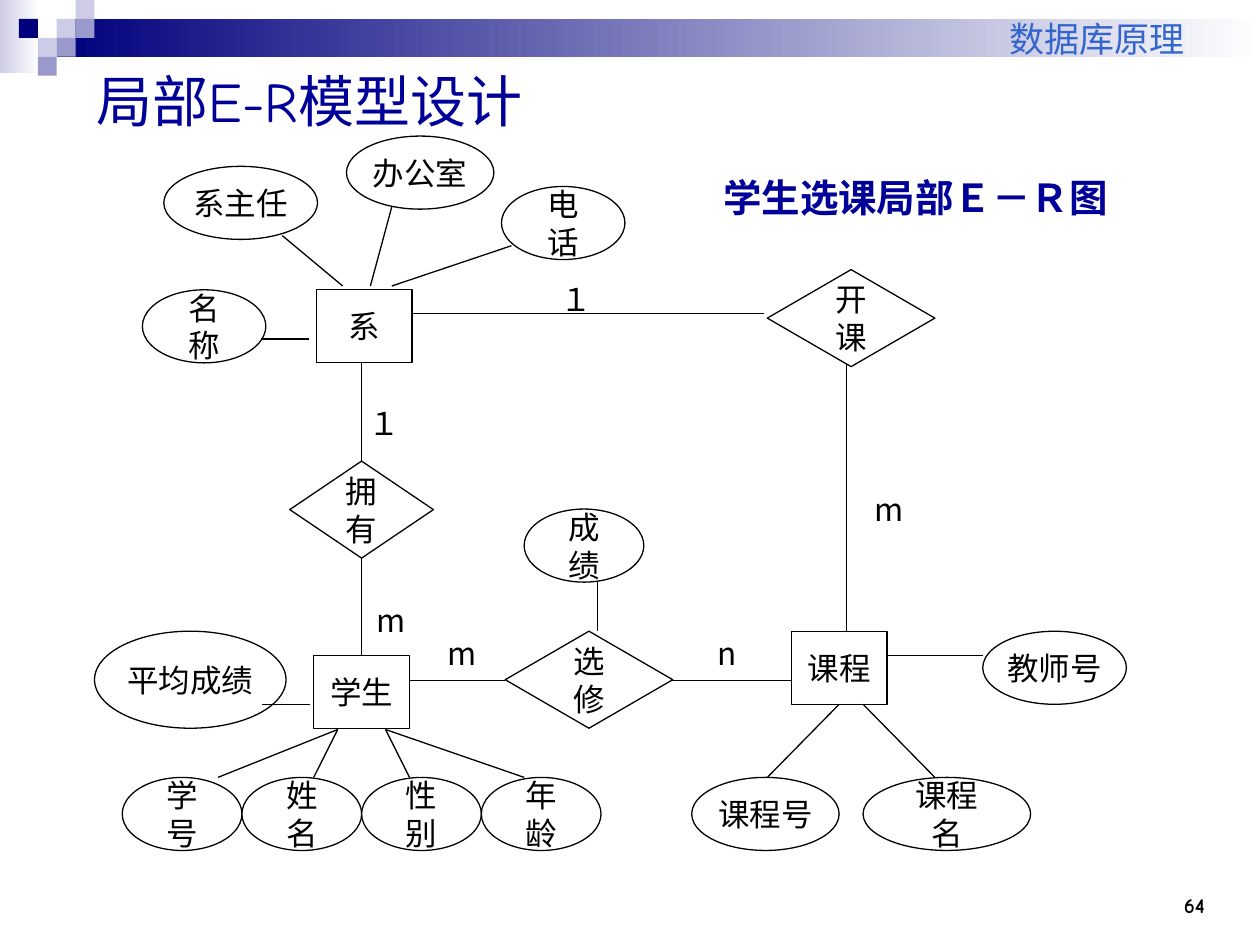
from lxml import etree
from pptx import Presentation
from pptx.dml.color import RGBColor
from pptx.enum import shapes, text
from pptx.oxml.ns import qn
from pptx.util import Inches, Pt

LATIN, CJK = "Comic Neue", "Noto Sans CJK SC"
BLACK, WHITE, NAVY, TITLE_BLUE = "000000", "FFFFFF", "00007D", "000099"
LILAC, VIOLET = "CCCCE6", "9999CC"
SHAPE, ALIGN, ANCHOR = shapes.MSO_SHAPE, text.PP_ALIGN, text.MSO_ANCHOR
ENTITY, ATTRIBUTE, RELATION = SHAPE.RECTANGLE, SHAPE.OVAL, SHAPE.DIAMOND
ROW = 0.58          # height of entities and most attributes
TALL = 0.77         # height of relationships
ENTITY_W = 0.76


def color(hex_value):
    return RGBColor.from_string(hex_value)


def write(frame, words, size, font, hue, align, anchor, insets=(0.1, 0.05, 0.1, 0.05),
          bold=False):
    frame.word_wrap = True
    frame.vertical_anchor = anchor
    frame.margin_left, frame.margin_top, frame.margin_right, frame.margin_bottom = map(
        Inches, insets)
    paragraph = frame.paragraphs[0]
    paragraph.text = words
    paragraph.alignment = align
    paragraph.font.size = Pt(size)
    paragraph.font.bold = bold
    paragraph.font.name = font
    paragraph.font.color.rgb = color(hue)
    defaults = paragraph._p.pPr.find(qn("a:defRPr"))
    etree.SubElement(defaults, qn("a:ea"), typeface=CJK)
    return paragraph


def add_block(slide, kind, left, top, width, height, fill=WHITE, end=None):
    """Plain shape without outline; with end, fill fades to it from left to right."""
    block = slide.shapes.add_shape(kind, *map(Inches, (left, top, width, height)))
    block.shadow.inherit = False
    block.line.fill.background()
    if end:
        block.fill.gradient()
        block.fill.gradient_angle = 0
        for stop, hue in zip(block.fill.gradient_stops, (fill, end)):
            stop.color.rgb = color(hue)
    else:
        block.fill.solid()
        block.fill.fore_color.rgb = color(fill)
    return block


def add_node(slide, origin, kind, words, x, y, width, height=ROW, side=0.1, edge=0.05):
    node = add_block(slide, kind, origin[0] + x, origin[1] + y, width, height)
    node.line.color.rgb = color(BLACK)
    node.line.width = Pt(0.75)
    write(node.text_frame, words, 18, CJK, BLACK, ALIGN.CENTER, ANCHOR.MIDDLE,
          (side, edge, side, edge))


def add_cardinality(slide, origin, words, x, y, width, height, spacing=None):
    label = add_block(slide, SHAPE.RECTANGLE, origin[0] + x, origin[1] + y, width, height)
    paragraph = write(label.text_frame, words, 18, CJK, BLACK, ALIGN.JUSTIFY, ANCHOR.MIDDLE)
    if spacing:
        paragraph.line_spacing = spacing


def add_links(slide, origin, links):
    left, top = origin
    for x1, y1, x2, y2 in links:
        link = slide.shapes.add_connector(
            shapes.MSO_CONNECTOR.STRAIGHT,
            *map(Inches, (left + x1, top + y1, left + x2, top + y2)))
        link.line.color.rgb = color(BLACK)
        link.line.width = Pt(0.75)
        etree.SubElement(link._element.spPr, qn("a:effectLst"))


def add_text(slide, box, *args, **kwargs):
    frame = slide.shapes.add_textbox(*map(Inches, box)).text_frame
    write(frame, *args, **kwargs)
    return frame


def add_banner(slide):
    add_block(slide, SHAPE.RECTANGLE, 0, 0, 0.31, 0.58, LILAC, WHITE)
    add_block(slide, SHAPE.RECTANGLE, 0.45, 0.15, 9.55, 0.3, NAVY, WHITE)
    tile = 0.15
    mosaic = [(3, 1, LILAC), (4, 0, LILAC), (4, 1, VIOLET), (2, 2, LILAC),
              (1, 1, NAVY), (3, 2, VIOLET), (2, 3, VIOLET)]
    for column, row, hue in mosaic:
        add_block(slide, SHAPE.RECTANGLE, column * tile, row * tile, tile, tile, hue)


def add_headings(slide):
    add_text(slide, (3.83, 0, 5.92, 0.52), "数据库原理", 20, LATIN, "3366CC",
             ALIGN.RIGHT, ANCHOR.BOTTOM, (0.1, 0.05, 0.35, 0.05))
    add_text(slide, (0.67, 0.42, 9, 0.75), "局部E-R模型设计", 32, LATIN, TITLE_BLUE,
             ALIGN.LEFT, ANCHOR.MIDDLE)
    caption = add_text(slide, (5.64, 1.33, 3.25, 0.47), "学生选课局部Ｅ－Ｒ图", 22, CJK,
                       TITLE_BLUE, ALIGN.CENTER, ANCHOR.TOP, bold=True)
    caption.word_wrap = False
    add_text(slide, (8.83, 6.83, 0.83, 0.5), "64", 12, LATIN, BLACK,
             ALIGN.RIGHT, ANCHOR.BOTTOM, bold=True)


def add_relationships(slide, origin):
    add_cardinality(slide, origin, "m", 4.54, 1.55, 0.65, 0.7)
    add_cardinality(slide, origin, "m", 0.59, 2.43, 0.65, 0.7)
    for words, x in (("m", 1.15), ("n", 3.3)):
        add_cardinality(slide, origin, words, x, 2.78, 0.46, 0.53)
    add_cardinality(slide, origin, "１", 2.05, -0.03, 0.54, ROW, spacing=0.8)
    add_cardinality(slide, origin, "１", 0.53, 0.93, 0.54, ROW)
    add_links(slide, origin, [
        (0.95, 0.35, 3.76, 0.35), (4.42, 0.74, 4.42, 2.87),
        (0.57, 0.74, 0.57, 1.52), (0.57, 2.29, 0.57, 3.06),
        (0.95, 3.26, 1.71, 3.26), (3.03, 3.26, 3.98, 3.26), (2.44, 2.87, 2.44, 2.48)])
    add_node(slide, origin, RELATION, "拥有", 0, 1.52, 1.14, TALL)
    add_node(slide, origin, RELATION, "开课", 3.79, 0, 1.33, TALL)
    add_node(slide, origin, RELATION, "选修", 1.71, 2.87, 1.33, TALL)
    add_node(slide, origin, ATTRIBUTE, "成绩", 1.86, 1.9, 0.95)


def add_department(slide, origin):
    add_node(slide, origin, ENTITY, "系", 1.38, 1.22, ENTITY_W)
    add_node(slide, origin, ATTRIBUTE, "名称", 0, 1.22, 0.98)
    add_node(slide, origin, ATTRIBUTE, "系主任", 0.17, 0.24, 1.22, side=0, edge=0)
    add_node(slide, origin, ATTRIBUTE, "办公室", 1.62, 0, 1.17, side=0, edge=0)
    add_node(slide, origin, ATTRIBUTE, "电话", 2.85, 0.4, 0.98)
    add_links(slide, origin, [
        (0.94, 1.61, 1.32, 1.61), (1.11, 0.79, 1.59, 1.19),
        (1.98, 0.56, 1.81, 1.19), (2.93, 0.87, 1.98, 1.19)])


def add_student(slide, origin):
    add_node(slide, origin, ENTITY, "学生", 1.74, 0.19, ENTITY_W)
    add_node(slide, origin, ATTRIBUTE, "平均成绩", 0, 0, 1.52, TALL, side=0)
    width = 0.95
    for index, words in enumerate(("学号", "姓名", "性别", "年龄")):
        add_node(slide, origin, ATTRIBUTE, words, 0.22 + index * width, 1.16, width)
    add_links(slide, origin, [
        (1.33, 0.58, 1.71, 0.58), (1.93, 0.78, 0.98, 1.16), (1.93, 0.78, 1.74, 1.16),
        (2.31, 0.78, 2.5, 1.16), (2.31, 0.78, 3.41, 1.16)])


def add_course(slide, origin):
    add_node(slide, origin, ENTITY, "课程", 0.79, 0, ENTITY_W)
    add_node(slide, origin, ATTRIBUTE, "教师号", 2.31, 0, 1.14, side=0)
    add_node(slide, origin, ATTRIBUTE, "课程号", 0, 1.16, 1.17, side=0)
    add_node(slide, origin, ATTRIBUTE, "课程名", 1.36, 1.16, 1.33)
    add_links(slide, origin, [
        (1.55, 0.19, 2.31, 0.19), (1.17, 0.58, 0.6, 1.16), (1.36, 0.58, 1.93, 1.16)])


def main():
    deck = Presentation()
    deck.slide_width, deck.slide_height = Inches(10), Inches(7.5)
    slide = deck.slides.add_slide(deck.slide_layouts[6])
    add_banner(slide)
    add_headings(slide)
    add_relationships(slide, (2.3, 2.14))
    add_department(slide, (1.13, 1.08))
    add_student(slide, (0.75, 5.01))
    add_course(slide, (5.49, 5.01))
    deck.save("out.pptx")


if __name__ == "__main__":
    main()
